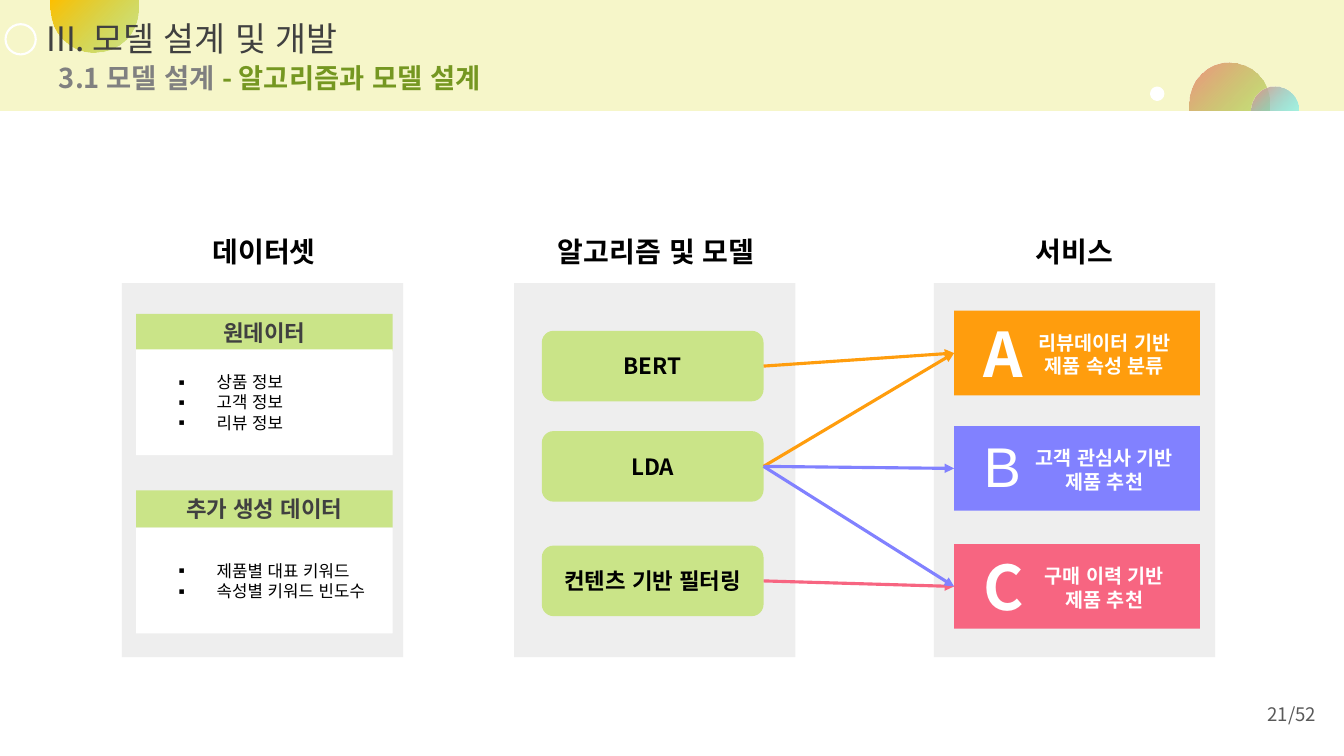
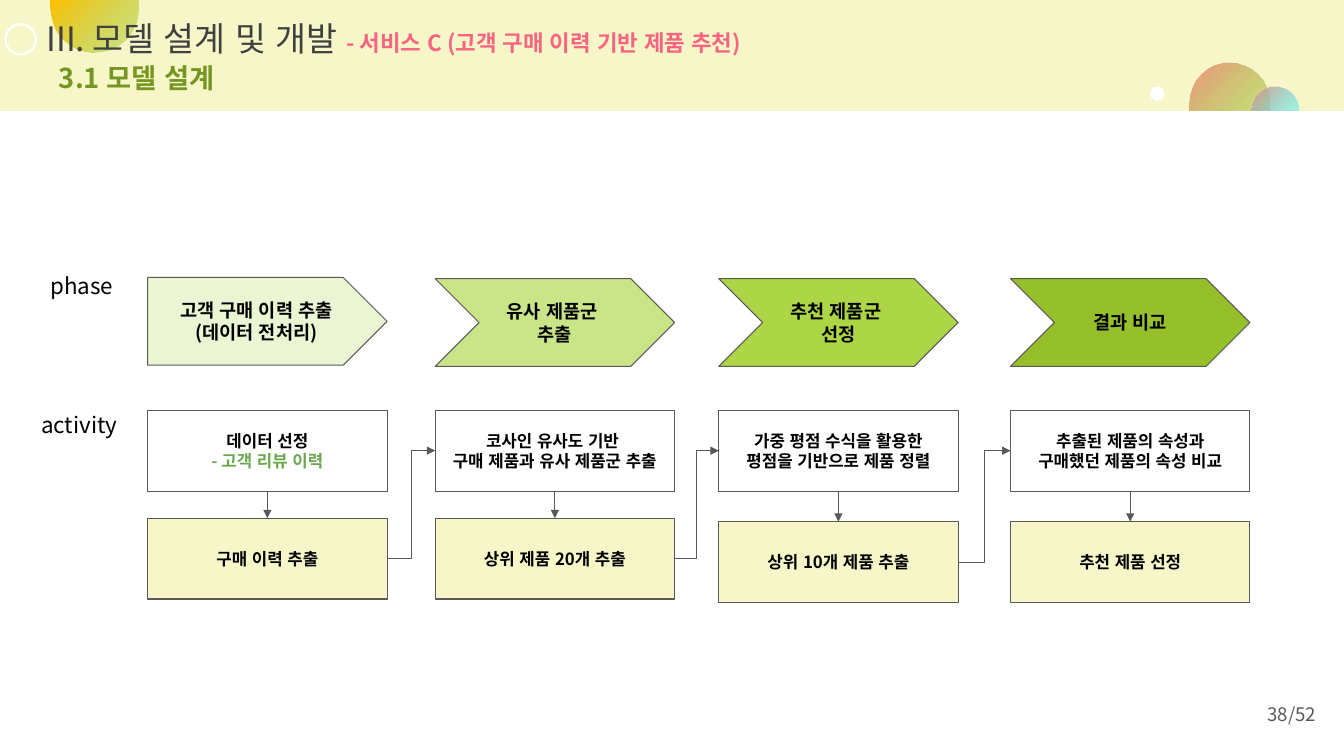
from lxml.etree import SubElement
from pptx import Presentation
from pptx.dml.color import RGBColor
from pptx.enum.shapes import MSO_CONNECTOR as LINK, MSO_SHAPE as SHAPE
from pptx.enum.text import MSO_ANCHOR as ANCHOR, PP_ALIGN as ALIGN
from pptx.oxml.ns import qn
from pptx.util import Inches, Pt

# Grid: square cells, 133.33 columns by 75 rows
CELL = Inches(0.1)
COLS, ROWS = 133.33, 75
FONT, EAST_ASIAN = "Noto Sans CJK KR", "Arial"
CREAM, LIME, OLIVE, ORANGE = "F6F6C9", "CAE488", "759721", "FF9D0D"
VIOLET, PINK, PANEL, GREY = "8181FF", "F76581", "EEEEEE", "595959"
DARK, WHITE, BLACK = "404040", "FFFFFF", "000000"
TOP, LEFT, BOTTOM, RIGHT = range(4)
rgb = RGBColor.from_string


def box(slide, at, paragraphs=(), kind=None, fill=None, line=None, weight=0.75,
        size=12, color=BLACK, bold=False, font=FONT, align=ALIGN.CENTER,
        anchor=ANCHOR.MIDDLE, inset=(1.3, 1.3), bullet=None):
    """Each paragraph is a string or a list of (text, own font settings)."""
    place = [int(v * CELL) for v in at]
    if kind is None:
        shape = slide.shapes.add_textbox(*place)
    else:
        shape = slide.shapes.add_shape(kind, *place)
        shape.shadow.inherit = False
        if fill:
            shape.fill.solid()
            shape.fill.fore_color.rgb = rgb(fill)
        else:
            shape.fill.background()
        if line:
            shape.line.color.rgb = rgb(line)
            shape.line.width = Pt(weight)
        else:
            shape.line.fill.background()
    frame = shape.text_frame
    frame.word_wrap = True
    frame.vertical_anchor = anchor
    frame.margin_left = frame.margin_right = int(inset[0] * CELL)
    frame.margin_top = frame.margin_bottom = int(inset[1] * CELL)
    for i, runs in enumerate(paragraphs):
        para = frame.paragraphs[0] if i == 0 else frame.add_paragraph()
        para.alignment = align
        if bullet:
            props = para._p.get_or_add_pPr()
            props.set("marL", str(int(6.7 * CELL)))
            props.set("indent", str(int(-4.3 * CELL)))
            SubElement(props, qn("a:buFont")).set("typeface", FONT)
            SubElement(props, qn("a:buChar")).set("char", bullet)
        for text, own in [(runs, {})] if isinstance(runs, str) else runs:
            run = para.add_run()
            run.text = text
            run.font.size = Pt(own.get("size", size))
            run.font.bold = own.get("bold", bold)
            run.font.color.rgb = rgb(own.get("color", color))
            run.font.name = font
            SubElement(run.font._element, qn("a:ea")).set("typeface", EAST_ASIAN)
    return shape


def link(slide, start, start_side, end, end_side, color, weight, kind=LINK.STRAIGHT):
    arrow = slide.shapes.add_connector(kind, 0, 0, 0, 0)
    arrow.begin_connect(start, start_side)
    arrow.end_connect(end, end_side)
    arrow.line.color.rgb = rgb(color)
    arrow.line.width = Pt(weight)
    props = arrow.element.spPr
    SubElement(props.find(qn("a:ln")), qn("a:tailEnd")).set("type", "triangle")
    SubElement(props, qn("a:effectLst"))


deck = Presentation()
deck.slide_width, deck.slide_height = int(COLS * CELL), ROWS * CELL
blank = deck.slide_layouts[6]
for spare in list(blank.placeholders):
    spare.element.getparent().remove(spare.element)
design, service = [deck.slides.add_slide(blank) for _ in range(2)]

# Shared header band, drawn once and moved to the layout
BAND = 11
box(design, (0, 0, COLS, BAND), kind=SHAPE.RECTANGLE, fill=CREAM)
box(design, (0.55, 2.4, 3, 3), kind=SHAPE.OVAL, line=WHITE, weight=1.5)

# Half-hidden bubbles: two quarter curves, closed along an edge of the band
ROUND = 0.55  # control point distance of a quarter circle, as a share of the radius
bubbles = [  # centre x, centre y, radius, cut edge, gradient angle, (colour, opacity) stops
    (9.35, 0.9, 4.35, 0, 45, ("FFC000", 100), ("9ACD32", 40)),
    (121.95, 10.2, 3.95, BAND, 225, ("9ACD32", 50), ("F19182", 100)),
    (126.5, 10.9, 2.3, BAND, 225, ("31EAFE", 40), ("F19182", 100)),
]
for x, y, radius, edge, angle, *stops in bubbles:
    rise = radius if edge < y else -radius
    apex = (x, y + rise)
    rim = [apex, (x + ROUND * radius, y + rise), (x + radius, y + ROUND * rise),
           (x + radius, y), (x + radius, edge), (x - radius, edge), (x - radius, y),
           (x - radius, y + ROUND * rise), (x - ROUND * radius, y + rise), apex]
    corners = [(int(px * CELL), int(py * CELL)) for px, py in rim]
    outline = design.shapes.build_freeform(*corners[0])
    outline.add_line_segments(corners[1:], close=True)
    bubble = outline.convert_to_shape()
    steps = list(bubble.element.iter(qn("a:lnTo")))
    for quarter in (steps[0:3], steps[6:9]):
        curve = quarter[0].getparent().makeelement(qn("a:cubicBezTo"))
        quarter[0].addprevious(curve)
        for step in quarter:
            curve.append(step[0])
            step.getparent().remove(step)
    bubble.shadow.inherit = False
    bubble.line.fill.background()
    bubble.fill.gradient()
    bubble.fill.gradient_angle = 360 - angle
    for stop, position, (color, opacity) in zip(bubble.fill.gradient_stops, (0, 1), stops):
        stop.position = position
        stop.color.rgb = rgb(color)
    for tint, (color, opacity) in zip(bubble.element.iter(qn("a:srgbClr")), stops):
        if opacity < 100:
            SubElement(tint, qn("a:alpha")).set("val", str(opacity * 1000))
box(design, (114.4, 8.9, 0.8, 0.8), kind=SHAPE.OVAL, fill=WHITE, line=WHITE, weight=4.5)
for part in list(design.shapes):
    blank.shapes.element.append(part.element)

# Titles and page numbers
chapter = "III. 모델 설계 및 개발"
headings = [  # slide, title, its width, section, its width, page
    (design, [(chapter, {})], 36.4,
     [("3.1 모델 설계 ", {"color": "808080"}), ("- 알고리즘과 모델 설계", {})], 50.4, "21/52"),
    (service, [(chapter + " ", {}), ("- 서비스 C (고객 구매 이력 기반 제품 추천)",
                                     {"size": 16, "color": PINK, "bold": True})], 82.8,
     [("3.1 모델 설계", {})], 99.3, "38/52"),
]
for slide, title, title_width, section, section_width, page in headings:
    box(slide, (3.3, 0.5, title_width, 6.4), [title], size=24, color=DARK,
        align=ALIGN.LEFT, anchor=ANCHOR.TOP)
    box(slide, (4.55, 4.8, section_width, 4.9), [section], size=19.5, color=OLIVE,
        bold=True, align=ALIGN.LEFT, anchor=ANCHOR.TOP)
    box(slide, (121.85, 68, 9.7, 5.7), [page], size=13.3, color=GREY,
        align=ALIGN.RIGHT, inset=(1, 1))

# Model design: three panels with headings
for heading, heading_x, width, panel_x in [
    ("데이터셋", 17.8, 16.8, 12.1), ("알고리즘 및 모델", 52.9, 24.4, 51),
    ("서비스", 94.4, 24.4, 92.65),
]:
    box(design, (heading_x, 22, width, 6.1), [heading], size=20, bold=True,
        anchor=ANCHOR.TOP)
    box(design, (panel_x, 28.1, 27.9, 37.1), kind=SHAPE.RECTANGLE, fill=PANEL)

# Data sets
for name, items, name_y, list_y in [
    ("원데이터", ["상품 정보", "고객 정보", "리뷰 정보"], 31.15, 34.65),
    ("추가 생성 데이터", ["제품별 대표 키워드", "속성별 키워드 빈도수"], 48.65, 52.35),
]:
    box(design, (13.5, name_y, 25.45, 3.7), [name], SHAPE.RECTANGLE, LIME,
        size=16, color=DARK, bold=True)
    box(design, (13.5, list_y, 25.45, 10.5), items, SHAPE.RECTANGLE, WHITE,
        align=ALIGN.LEFT, bullet="▪")

# Algorithms
bert, lda, filtering = [
    box(design, (53.75, y, 22, 7), [name], SHAPE.ROUNDED_RECTANGLE, LIME, size=16, bold=True)
    for name, y in [("BERT", 32.82), ("LDA", 42.77), ("컨텐츠 기반 필터링", 54.13)]
]

# Services, each with the algorithms that feed it
lettering = dict(size=44, bold=True)
for letter, style, text, y, color, feeds in [
    ("A", lettering, ["리뷰데이터 기반 제품 속성 분류"], 30.83, ORANGE,
     [(bert, ORANGE), (lda, ORANGE)]),
    ("B", dict(size=40, font="Arial"), ["고객 관심사 기반", "제품 추천"], 42.27, VIOLET,
     [(lda, VIOLET)]),
    ("C", lettering, ["구매 이력 기반", "제품 추천"], 53.98, PINK,
     [(filtering, PINK), (lda, VIOLET)]),
]:
    card = box(design, (94.65, y, 24.4, 8.4), kind=SHAPE.RECTANGLE, fill=color)
    for algorithm, arrow_color in feeds:
        link(design, algorithm, RIGHT, card, LEFT, arrow_color, 2.25)
    label = dict(color=WHITE, anchor=ANCHOR.TOP, inset=(1, 0.5))
    box(design, (100.35, y + 1.5, 18.4, 5.7), text, size=14, bold=True, **label)
    box(design, (96.6, y, 5.1, 8.4), [letter], **style, **label)

# Service C: row names
for name, x, y, width in [("phase", 3.7, 25.7, 10.1), ("activity", 2.8, 39.45, 11.1)]:
    box(service, (x, y, width, 5.3), [name], size=16, align=ALIGN.LEFT, anchor=ANCHOR.TOP)

# Service C: one column per phase, each result leading to the next activity
stages = [  # x, phase y, result y, phase shape, phase colour, phase, activity, result
    (14.65, 27.53, 51.4, SHAPE.PENTAGON, "EBF5D3", ["고객 구매 이력 추출", "(데이터 전처리)"],
     ["데이터 선정", [("- 고객 리뷰 이력", {"color": "6AA84F"})]], "구매 이력 추출"),
    (43.17, 27.65, 51.4, SHAPE.CHEVRON, LIME, ["유사 제품군 ", "추출"],
     ["코사인 유사도 기반 ", "구매 제품과 유사 제품군 추출"], "상위 제품 20개 추출"),
    (71.3, 27.65, 51.75, SHAPE.CHEVRON, "ADD646", ["추천 제품군 ", "선정"],
     ["가중 평점 수식을 활용한", "평점을 기반으로 제품 정렬"], "상위 10개 제품 추출"),
    (100.25, 27.65, 51.75, SHAPE.CHEVRON, "95BF2B", ["결과 비교"],
     ["추출된 제품의 속성과", "구매했던 제품의 속성 비교"], "추천 제품 선정"),
]
previous = None
for x, phase_y, result_y, kind, color, phase, activity, result in stages:
    box(service, (x, phase_y, 23.75, 8.7), phase, kind, color, GREY, size=13.3, bold=True)
    task = box(service, (x, 40.7, 23.75, 8.03), activity, SHAPE.RECTANGLE, WHITE, GREY,
               bold=True)
    outcome = box(service, (x, result_y, 23.75, 8.03), [result], SHAPE.RECTANGLE, CREAM,
                  GREY, bold=True)
    link(service, task, BOTTOM, outcome, TOP, GREY, 0.75)
    if previous:
        link(service, previous, RIGHT, task, LEFT, GREY, 0.75, LINK.ELBOW)
    previous = outcome

deck.save("out.pptx")
